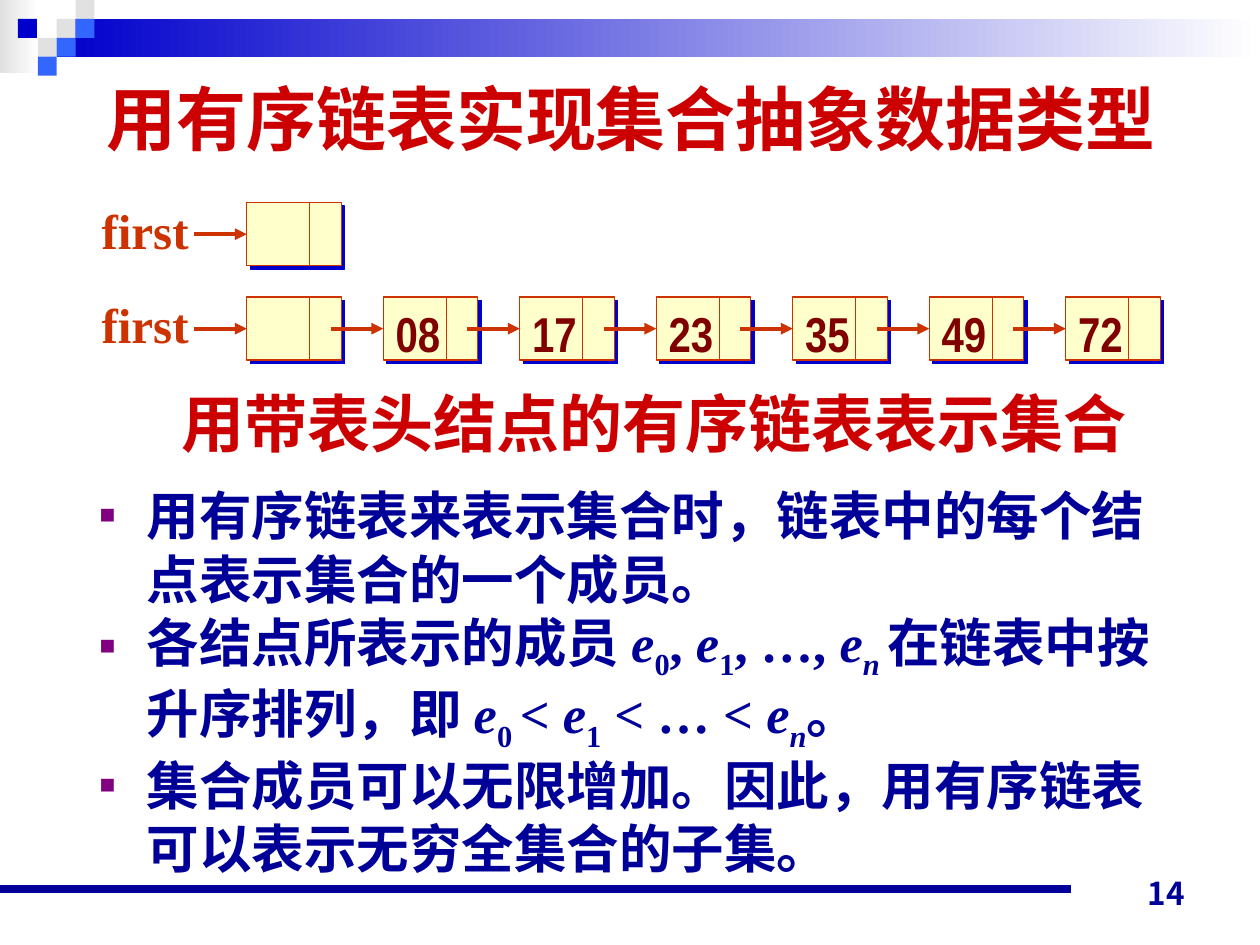
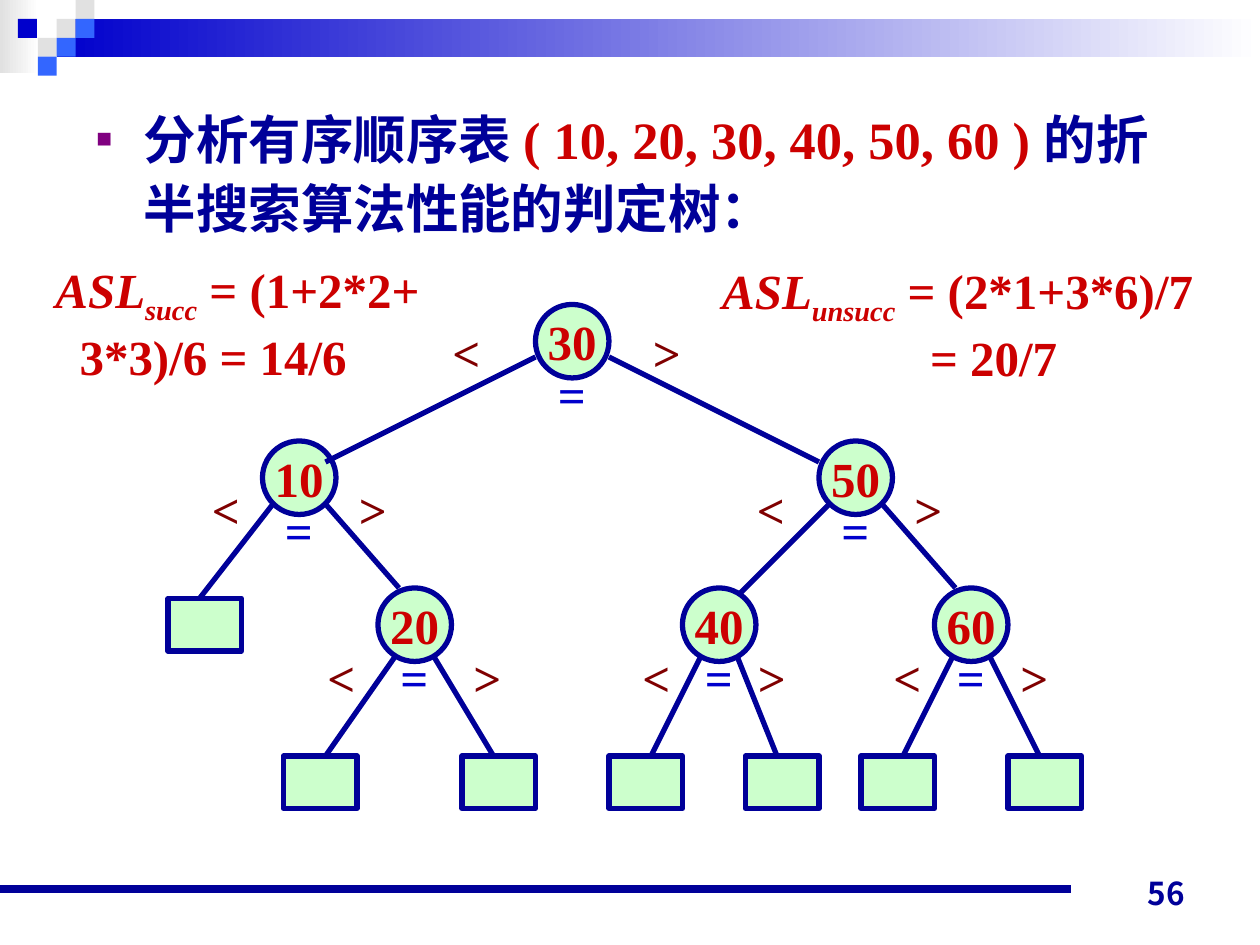
from dataclasses import dataclass

from lxml.etree import SubElement
from pptx import Presentation
from pptx.dml.color import RGBColor as RGB
from pptx.enum.shapes import MSO_CONNECTOR as LINE, MSO_SHAPE as SHAPE
from pptx.enum.text import MSO_ANCHOR as ANCHOR, PP_ALIGN as ALIGN
from pptx.oxml.ns import qn
from pptx.util import Inches, Pt


@dataclass(frozen=True)
class Theme:
    # colours
    navy: str = "000099"
    blue: str = "0000CC"
    sky: str = "3366FF"
    grey: str = "E1E1E1"
    white: str = "FFFFFF"
    red: str = "CC0000"
    rust: str = "CC3300"
    maroon: str = "800000"
    purple: str = "800080"
    cream: str = "FFFFCC"
    mint: str = "CCFFCC"
    # type
    serif: str = "Times New Roman"
    sans: str = "Arial"
    narrow: str = "Arial Narrow"
    cjk: str = "Noto Sans CJK JP"
    title: int = 40
    subtitle: int = 36
    body: int = 30
    label: int = 28
    number: int = 18


COLUMNS, ROWS = 120, 90
TILE = 1.8
HANG = 4.5  # hanging indent of a bullet, in columns


class Deck:
    """The style, the grid and the slide being drawn."""

    def __init__(self, theme):
        self.theme = theme
        self.prs = Presentation()
        self.prs.slide_width, self.prs.slide_height = Inches(10), Inches(7.5)
        self.slide = None

    def x(self, columns):
        return round(self.prs.slide_width * columns / COLUMNS)

    def y(self, rows):
        return round(self.prs.slide_height * rows / ROWS)

    def place(self, left, top, width, height):
        return self.x(left), self.y(top), self.x(width), self.y(height)

    def shape(self, kind, place, fill, line=None, weight=0.75):
        item = self.slide.shapes.add_shape(kind, *self.place(*place))
        item.shadow.inherit = False
        if isinstance(fill, tuple):
            item.fill.gradient()
            item.fill.gradient_angle = 0
            for stop, colour in zip(item.fill.gradient_stops, fill):
                stop.color.rgb = RGB.from_string(colour)
        else:
            item.fill.solid()
            item.fill.fore_color.rgb = RGB.from_string(fill)
        if line:
            item.line.color.rgb = RGB.from_string(line)
            item.line.width = Pt(weight)
        else:
            item.line.fill.background()
        return item

    def cast_shadow(self, item, colour):
        effects = item._element.spPr.find(qn("a:effectLst"))
        shadow = SubElement(effects, qn("a:outerShdw"), dist=str(Pt(2.8)),
                            dir="2700000", algn="ctr", rotWithShape="0")
        SubElement(shadow, qn("a:srgbClr"), val=colour)

    def line(self, start, end, colour, weight, arrow=False):
        item = self.slide.shapes.add_connector(
            LINE.STRAIGHT, self.x(start[0]), self.y(start[1]),
            self.x(end[0]), self.y(end[1]))
        item.line.color.rgb = RGB.from_string(colour)
        item.line.width = Pt(weight)
        if arrow:
            SubElement(item.line._get_or_add_ln(), qn("a:tailEnd"), type="triangle")
        SubElement(item._element.spPr, qn("a:effectLst"))
        return item

    def style(self, run, size, colour, font, marks=""):
        """marks: i = italic, s = subscript, r = red."""
        run.font.size, run.font.bold, run.font.name = Pt(size), True, font
        run.font.italic = "i" in marks
        run.font.color.rgb = RGB.from_string(self.theme.red if "r" in marks else colour)
        props = run._r.get_or_add_rPr()
        SubElement(props, qn("a:ea"), typeface=self.theme.cjk)
        if "s" in marks:
            props.set("baseline", "-25000")

    def put_text(self, paragraph, content, size, colour, font):
        """content: a string, or pairs of (text, marks)."""
        if isinstance(content, str):
            paragraph.text = content
            self.style(paragraph.runs[0], size, colour, font)
            return
        for text, marks in content:
            run = paragraph.add_run()
            run.text = text
            self.style(run, size, colour, font, marks)

    def text(self, place, content, size, colour, font=None, align=ALIGN.LEFT,
             anchor=ANCHOR.TOP, wrap=False):
        box = self.slide.shapes.add_textbox(*self.place(*place))
        frame = box.text_frame
        frame.word_wrap, frame.vertical_anchor = wrap, anchor
        frame.paragraphs[0].alignment = align
        self.put_text(frame.paragraphs[0], content, size, colour, font or self.theme.serif)
        return frame

    def bullets(self, place, items):
        """items: pairs of (content, line spacing in points)."""
        t = self.theme
        frame = self.slide.shapes.add_textbox(*self.place(*place)).text_frame
        frame.word_wrap = True
        for index, (content, spacing) in enumerate(items):
            paragraph = frame.add_paragraph() if index else frame.paragraphs[0]
            props = paragraph._p.get_or_add_pPr()
            props.set("marL", str(self.x(HANG)))
            props.set("indent", str(-self.x(HANG)))
            SubElement(SubElement(props, qn("a:buClr")), qn("a:srgbClr"), val=t.purple)
            SubElement(props, qn("a:buSzPct"), val="50000")
            SubElement(props, qn("a:buFont"), typeface=t.sans)
            SubElement(props, qn("a:buChar"), char="■")
            paragraph.line_spacing = Pt(spacing)
            self.put_text(paragraph, content, t.body, t.navy, t.serif)

    def formula(self, place, first, second, indent, wrap=False):
        t = self.theme
        frame = self.text(place, first, t.label, t.red, wrap=wrap)
        rest = frame.add_paragraph()
        rest._p.get_or_add_pPr().set("marL", str(self.x(indent)))
        self.put_text(rest, second, t.label, t.red, t.serif)

    def new_slide(self, number):
        """A blank slide with the top band, the footer rule and its number."""
        t = self.theme
        self.slide = self.prs.slides.add_slide(self.prs.slide_layouts[6])
        self.shape(SHAPE.RECTANGLE, (0, 0, 3.7, 7), (t.grey, t.white))
        self.shape(SHAPE.RECTANGLE, (3 * TILE, TILE, COLUMNS - 3 * TILE, 2 * TILE),
                   (t.blue, t.white))
        tiles = [(3, 1, t.grey), (4, 0, t.grey), (4, 1, t.sky), (2, 2, t.grey),
                 (0.95, 1, t.blue), (3, 2, t.sky), (2, 3, t.sky)]
        for column, row, colour in tiles:
            self.shape(SHAPE.RECTANGLE, (column * TILE, row * TILE, TILE, TILE), colour)
        self.line((0, 84.7), (102, 84.7), t.navy, 4.5)
        self.text((86, 81.4, 28, 6), number, t.number, t.navy, t.cjk,
                  ALIGN.RIGHT, ANCHOR.BOTTOM, wrap=True)

    # Linked lists
    def list_node(self, left, top, arrow_start, value=None):
        t = self.theme
        cell = self.shape(SHAPE.RECTANGLE, (left, top, 9, 6), t.cream, t.rust)
        self.cast_shadow(cell, t.blue)
        self.line((left + 6, top), (left + 6, top + 6), t.rust, 0.75)
        pointer = self.line((arrow_start, top + 3), (left, top + 3), t.rust, 2.25, True)
        pointer.end_connect(cell, 1)
        if value:
            self.text((left, top, 6.7, 6.8), value, t.label, t.maroon, t.narrow)

    def linked_list(self, top, values=()):
        t, head, step = self.theme, 23.5, 13
        self.text((8.5, top - 0.8, 10.7, 6.8), "first", t.label, t.rust)
        self.list_node(head, top, head - 5)
        for place, value in enumerate(values, 1):
            left = head + place * step
            self.list_node(left, top, left - 5, value)

    # Decision tree
    def tree_node(self, left, top, key):
        t = self.theme
        node = self.shape(SHAPE.OVAL, (left, top, 7, 7), t.mint, t.navy, 3)
        frame = node.text_frame
        frame.word_wrap, frame.vertical_anchor = False, ANCHOR.MIDDLE
        frame.paragraphs[0].alignment = ALIGN.CENTER
        self.put_text(frame.paragraphs[0], key, t.label, t.red, t.serif)

    def sign(self, left, top, symbol, colour):
        self.text((left, top, 5, 6.8), symbol, self.theme.label, colour)


def set_as_list(deck):
    t = deck.theme
    deck.new_slide("14")
    deck.text((6.1, 4.3, 108, 13.7), "用有序链表实现集合抽象数据类型", t.title, t.red,
              t.sans, ALIGN.CENTER, ANCHOR.MIDDLE, wrap=True)
    deck.linked_list(19.3)
    deck.linked_list(28.3, ["08", "17", "23", "35", "49", "72"])
    deck.text((16.1, 36, 92.4, 8.4), "用带表头结点的有序链表表示集合", t.subtitle, t.red,
              align=ALIGN.CENTER, anchor=ANCHOR.MIDDLE)
    ordered = [
        ("各结点所表示的成员 ", ""), ("e", "i"), ("0", "s"), (", ", ""), ("e", "i"),
        ("1", "s"), (", …, ", ""), ("e", "i"), ("n ", "is"),
        ("在链表中按升序排列，即 ", ""), ("e", "i"), ("0 ", "s"), ("< ", ""),
        ("e", "i"), ("1", "s"), (" < … < ", ""), ("e", "i"), ("n", "is"), ("。", "")]
    deck.bullets((8.3, 45.3, 105.1, 39), [
        ("用有序链表来表示集合时，链表中的每个结点表示集合的一个成员。", 36.5),
        (ordered, 41),
        ("集合成员可以无限增加。因此，用有序链表可以表示无穷全集合的子集。", 36)])


def binary_search_tree(deck):
    t = deck.theme
    deck.new_slide("56")
    deck.bullets((8, 9, 106.1, 16), [(
        [("分析有序顺序表 ", ""), ("( 10, 20, 30, 40, 50, 60 ) ", "r"),
         ("的折半搜索算法性能的判定树：", "")], 39.4)])

    # Each level: node top, edge start below it, inset of the edges, row of < and >
    levels = [(29, 5, 0, 30.1), (42, 6, 1, 45.1), (56, 6, 2, 61.1)]
    # key, level, left, ends of both edges, columns of < and >
    nodes = [
        ("30", 0, 51, ((31, 44), (78, 44)), (41.9, 61)),
        ("10", 1, 25, ((19, 57), (38, 56)), (19, 33)),
        ("50", 1, 78, ((70, 57), (91, 56)), (70.9, 85.9)),
        ("20", 2, 36, ((31, 72), (47, 72)), (30, 43.9)),
        ("40", 2, 65, ((62, 72), (74, 72)), (60, 71)),
        ("60", 2, 89, ((86, 72), (99, 72)), (83.9, 96))]
    leaves = [(16, 57)] + [(left, 72) for left in (27, 44, 58, 71, 82, 96)]

    for left, top in leaves:
        deck.shape(SHAPE.RECTANGLE, (left, top, 7, 5), t.mint, t.navy, 3)
    for key, level, left, *_ in nodes[:3]:
        deck.tree_node(left, levels[level][0], key)
    for key, level, left, ends, sign_columns in nodes:
        top, drop, inset, sign_row = levels[level]
        for start, end in zip((left + inset, left + 7 - inset), ends):
            deck.line((start, top + drop), end, t.navy, 3)
        for column, symbol in zip(sign_columns, "<>"):
            deck.sign(column, sign_row, symbol, t.maroon)
        deck.sign(left + 0.95, top + 5.1, "=", t.blue)
    for key, level, left, *_ in nodes[3:]:
        deck.tree_node(left, levels[level][0], key)

    # Average search lengths
    deck.formula((67.6, 24.2, 48.7, 12.4),
                 [("ASL", "i"), ("unsucc", "is"), (" = (2*1+3*6)/7", "")],
                 "= 20/7", 19.8)
    deck.formula((4.1, 24.1, 38, 12.4),
                 [("ASL", "i"), ("succ", "is"), (" = (1+2*2+", "")],
                 "3*3)/6 = 14/6", 2.3, wrap=True)


def main():
    deck = Deck(Theme())
    set_as_list(deck)
    binary_search_tree(deck)
    deck.prs.save("out.pptx")


if __name__ == "__main__":
    main()
